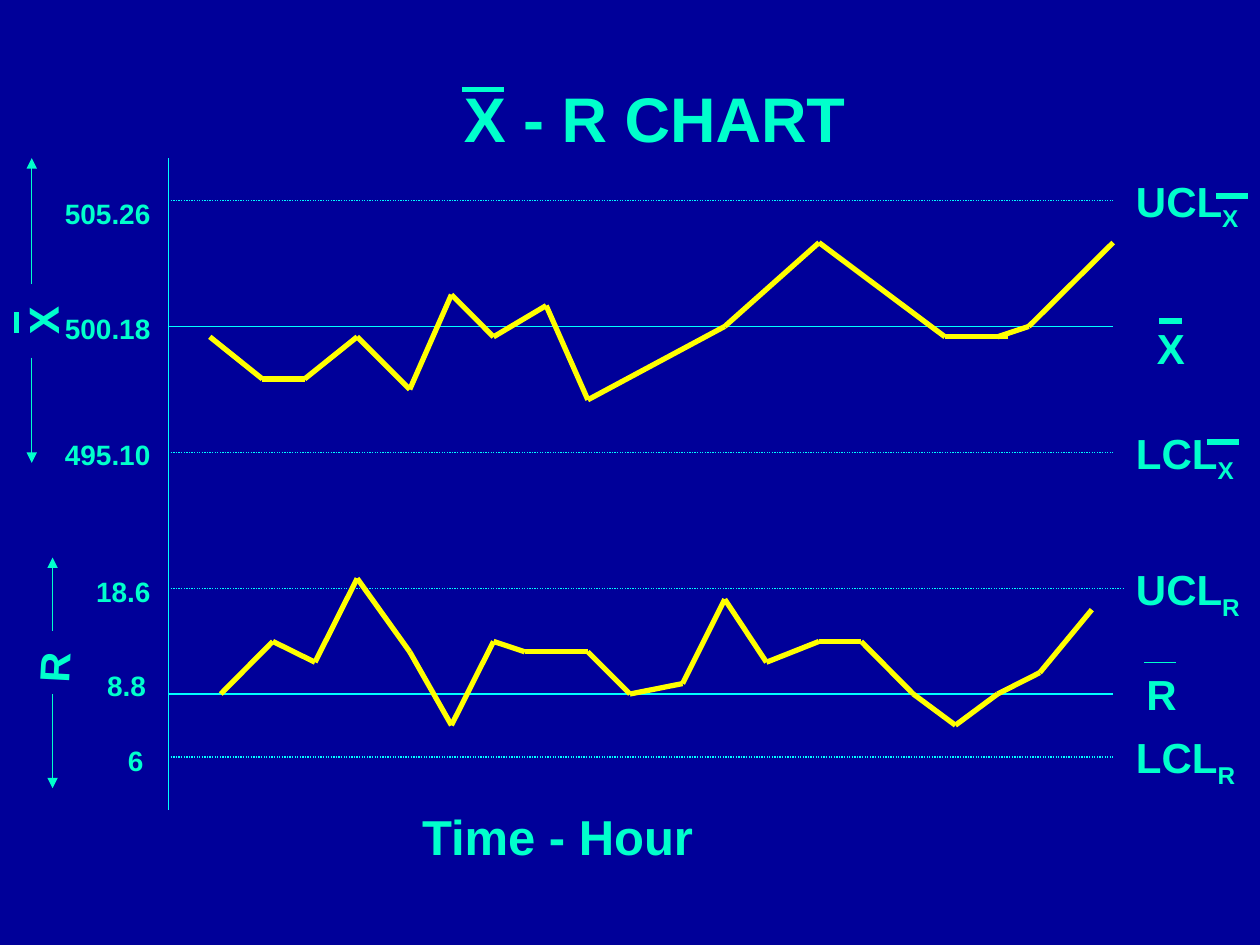
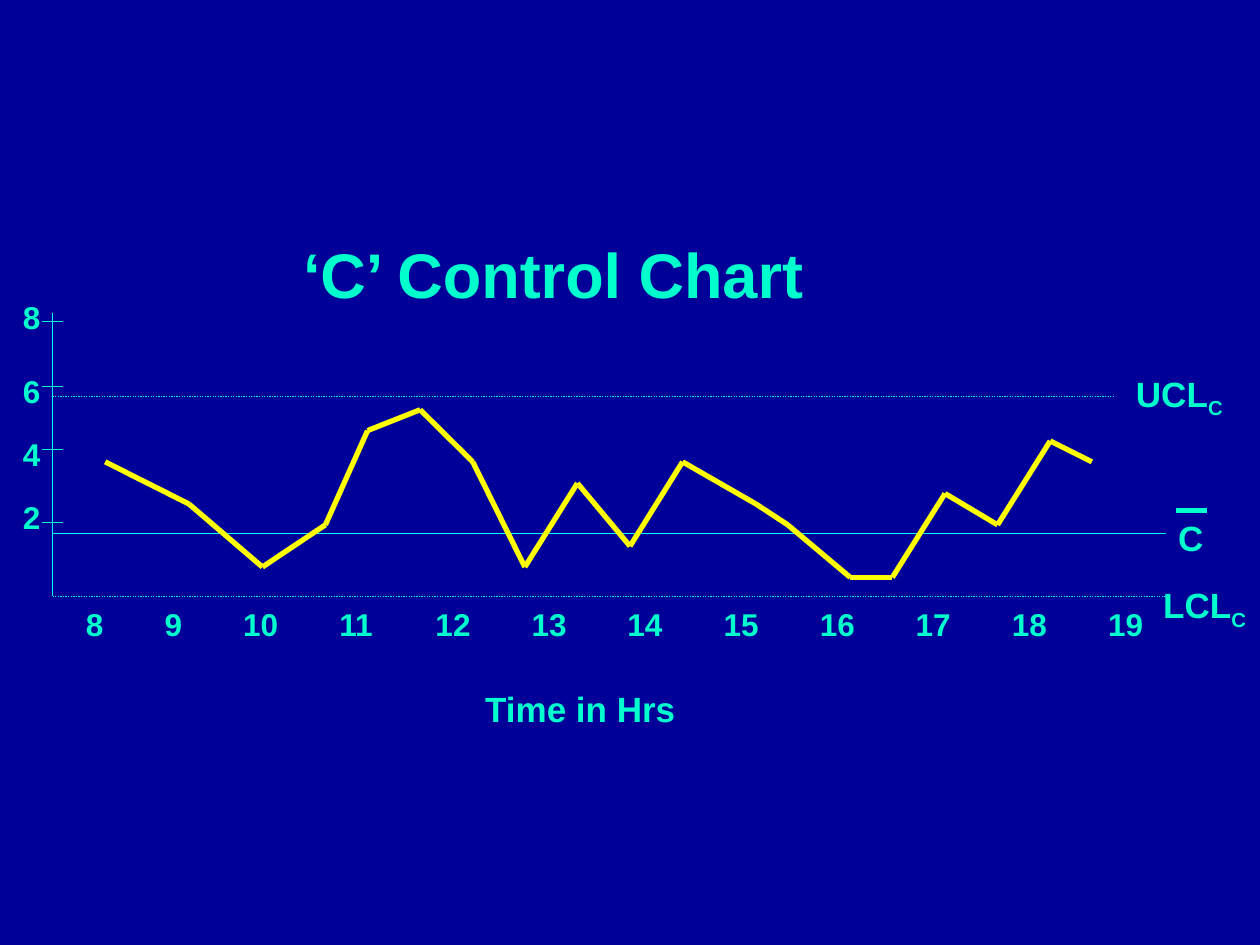
import itertools
import pptx
import pptx.dml.color
import pptx.enum.dml
import pptx.enum.shapes
import pptx.enum.text
import pptx.oxml
import pptx.oxml.ns
import pptx.util

GRID = 2.54 / 12
HUES = {"back": "000099", "text": "00FFCC", "rule": "00FFFF", "data": "FFFF00"}
FONT = {"name": "Arial", "bold": True}
FRAME = {
    "word_wrap": True,
    "auto_size": pptx.enum.text.MSO_AUTO_SIZE.SHAPE_TO_FIT_TEXT,
    "margin_left": pptx.util.Cm(0.25),
    "margin_right": 0,
    "margin_top": pptx.util.Cm(0.13),
    "margin_bottom": pptx.util.Cm(0.13),
}
THIN, THICK = 0.75, 3


def span(count):
    """Turn grid steps, twelve to the inch, into a length."""
    return pptx.util.Cm(round(count * GRID, 2))


def tint(name):
    """Return a named colour."""
    return pptx.dml.color.RGBColor.from_string(HUES[name])


def apply(target, values):
    """Set each format value on the target."""
    for key, value in values.items():
        setattr(target, key, value)


def mark(parent, tag, **attrs):
    """Append one drawing element to its parent."""
    child = pptx.oxml.ns.qn(tag)
    node = parent.makeelement(child, attrs)
    parent.append(node)
    return node


def stroke(slide, box, start, end, hue="text", width=THIN, dots=False, arrow=False):
    """Draw a straight line between two points of a box."""
    left, top = box
    line = slide.shapes.add_connector(
        pptx.enum.shapes.MSO_CONNECTOR.STRAIGHT,
        span(left + start[0]), span(top + start[1]),
        span(left + end[0]), span(top + end[1]))
    line.line.color.rgb = tint(hue)
    line.line.width = pptx.util.Pt(width)
    if dots:
        line.line.dash_style = pptx.enum.dml.MSO_LINE.ROUND_DOT
    if arrow:
        mark(line.line._get_or_add_ln(), "a:tailEnd", type="triangle")
    mark(line._element.spPr, "a:effectLst")


def label(slide, box, spot, text, size, width, sub="", turn=0, tabs=()):
    """Write one line of text, with a subscript if given."""
    shape = slide.shapes.add_textbox(
        span(box[0] + spot[0]), span(box[1] + spot[1]),
        span(width), span(size / 5 + 1.2))
    shape.rotation = turn
    apply(shape.text_frame, FRAME)
    para = shape.text_frame.paragraphs[0]
    if tabs:
        stops = mark(para._p.get_or_add_pPr(), "a:tabLst")
        for stop in tabs:
            mark(stops, "a:tab", pos=str(span(stop)), algn="l")
    for part in filter(None, (text, sub)):
        run = para.add_run()
        run.text = part
        apply(run.font, FONT | {"size": pptx.util.Pt(size)})
        run.font.color.rgb = tint("text")
    if sub:
        run._r.get_or_add_rPr().set("baseline", "-25000")


def plot(slide, box, rules, points):
    """Draw the limits, the mean and the data line of one chart."""
    for height, width, dots in rules:
        stroke(slide, box, (0, height), (width, height), "rule", dots=dots)
    for start, end in itertools.pairwise(points):
        stroke(slide, box, start, end, "data", THICK)


def notes(slide, box, size, items):
    """Write the labels of one chart in a single size."""
    for spot, text, sub, width in items:
        label(slide, box, spot, text, size, width, sub)


def bars(slide, box, items, width=THICK):
    """Draw the bars that stand over the mean symbols."""
    for left, top, length in items:
        stroke(slide, box, (left, top), (left + length, top), width=width)


def arrows(slide, box, left, pairs):
    """Draw the arrows along the side of a chart."""
    for start, end in pairs:
        stroke(slide, box, (left, start), (left, end), arrow=True)


def mean_part(slide, box):
    """Build the chart of sample means."""
    plot(slide, box, [(4, 90, True), (16, 90, False), (28, 90, True)], [
        (4, 17), (9, 21), (13, 21), (18, 17), (23, 22), (27, 13), (31, 17),
        (36, 14), (40, 23), (53, 16), (62, 8), (74, 17), (80, 17), (79, 17),
        (82, 16), (90, 8)])
    notes(slide, box, 24, [
        ((91, 1), "UCL", "X", 13), ((93, 15), "X", "", 9),
        ((91, 25), "LCL", "X", 13)])
    notes(slide, box, 16, [
        ((-11, 3), "505.26", "", 11), ((-11, 14), "500.18", "", 11),
        ((-11, 26), "495.10", "", 11)])
    bars(slide, box, [(99.8, 3.6, 3), (94.4, 15.5, 2.2), (99, 27, 3)])
    label(slide, box, (-16, 11), "X", 24, 8, turn=269.2)
    stroke(slide, box, (-14.4, 16.6), (-14.4, 14.6), width=THICK)
    arrows(slide, box, -13, [(12, 0), (19, 29)])


def range_part(slide, box):
    """Build the chart of sample ranges."""
    plot(slide, box, [(3, 91, True), (13, 90, False), (19, 90, True)], [
        (5, 13), (10, 8), (14, 10), (18, 2), (23, 9), (27, 16), (31, 8),
        (34, 9), (40, 9), (44, 13), (49, 12), (53, 4), (57, 10), (62, 8),
        (66, 8), (71, 13), (75, 16), (79, 13), (83, 11), (88, 5)])
    notes(slide, box, 24, [
        ((91, 0), "UCL", "R", 13), ((92, 10), "R", "", 10),
        ((91, 16), "LCL", "R", 13)])
    notes(slide, box, 16, [
        ((-8, 1), "18.6", "", 9), ((-7, 10), "8.8", "", 8),
        ((-5, 17.1), "6", "", 4)])
    bars(slide, box, [(93, 10, 3)], THIN)
    label(slide, box, (-14.4, 6.6), "R", 24, 7, turn=272.9)
    arrows(slide, box, -11, [(7, 0), (13, 22)])


def count_part(slide, box):
    """Build the chart of defect counts."""
    plot(slide, box, [(7.8, 101, True), (20.8, 106, False), (26.8, 106, True)], [
        (5, 14), (13, 18), (20, 24), (26, 20), (30, 11), (35, 9), (40, 14),
        (45, 24), (50, 16), (55, 22), (60, 14), (67, 18), (70, 20), (76, 25),
        (80, 25), (85, 17), (90, 20), (95, 12), (99, 14)])
    stroke(slide, box, (0, -0.2), (0, 26.8), "rule")
    notes(slide, box, 20, [
        ((102, 4.8), "UCL", "C", 12), ((106, 18.6), "C", "", 6),
        ((104.6, 25), "LCL", "C", 10.4)])
    bars(slide, box, [(107, 18.6, 3)])
    ticks = [("8", -2.2, 0.6), ("6", 4.8, 6.8), ("4", 10.8, 12.8), ("2", 16.8, 19.8)]
    for text, top, height in ticks:
        label(slide, box, (-4, top), text, 18, 4)
        stroke(slide, box, (-1, height), (1, height))
    hours = "\t".join(str(hour) for hour in range(8, 20))
    tabs = [7.5] + [15 + 9.15 * step for step in range(10)]
    label(slide, box, (2, 27), hours, 18, 108, tabs=tabs)


def pair_slide(slide):
    """Build the slide with the mean and range charts."""
    page, box = (0, 0), (16, 15.08)
    label(slide, page, (43, 7), "X - R CHART", 36, 42)
    bars(slide, page, [(44, 8.5, 4)])
    stroke(slide, box, (0, 0), (0, 62), "rule")
    mean_part(slide, box)
    range_part(slide, (16, 53.08))
    label(slide, page, (39, 76.2), "Time - Hour", 28, 31)


def count_slide(slide):
    """Build the slide with the count chart."""
    page = (0, 0)
    label(slide, page, (27.7, 21.8), "‘C’ Control Chart", 36, 61)
    count_part(slide, (5, 30))
    label(slide, page, (45, 64.8), "Time in Hrs", 20, 24)


def main():
    """Build and save the slides."""
    deck = pptx.Presentation()
    deck.slide_width, deck.slide_height = span(120), span(90)
    fill = deck.slide_master.background.fill
    fill.solid()
    fill.fore_color.rgb = tint("back")
    for build in (pair_slide, count_slide):
        build(deck.slides.add_slide(deck.slide_layouts[6]))
    deck.save("out.pptx")


if __name__ == "__main__":
    main()
